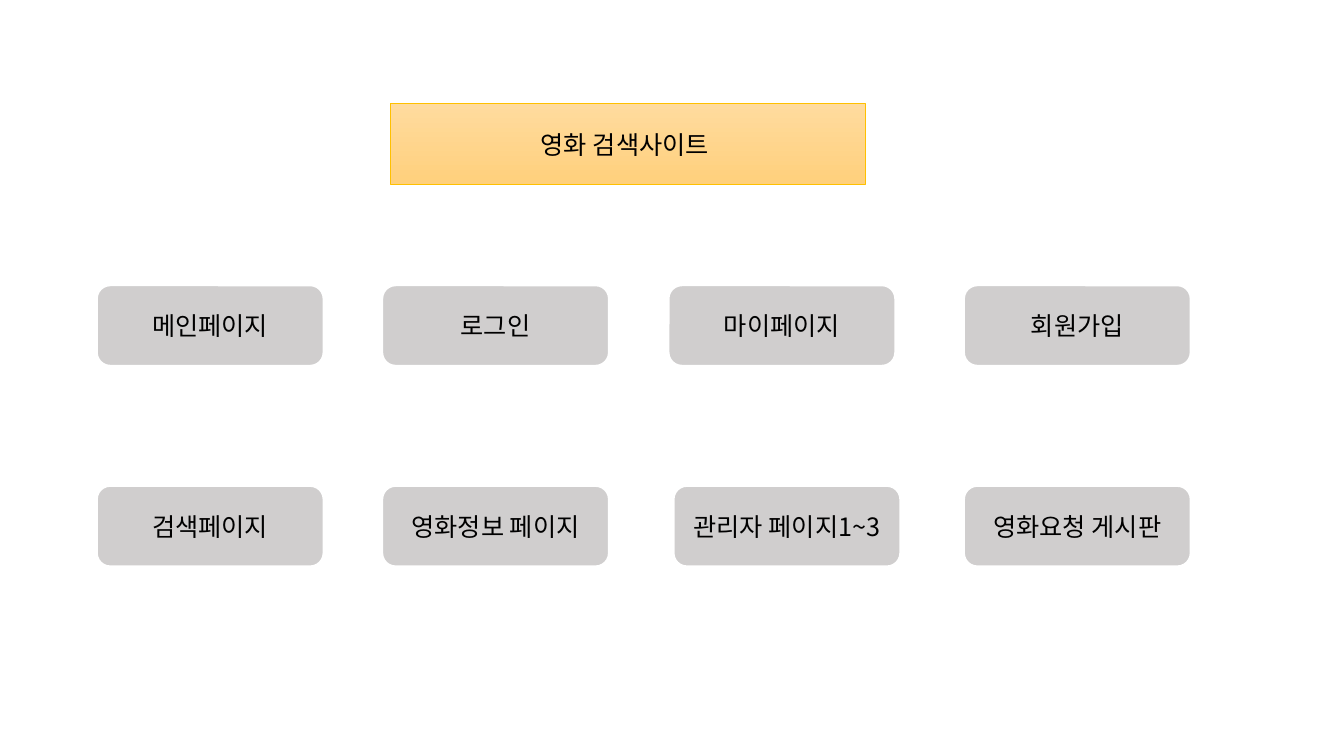
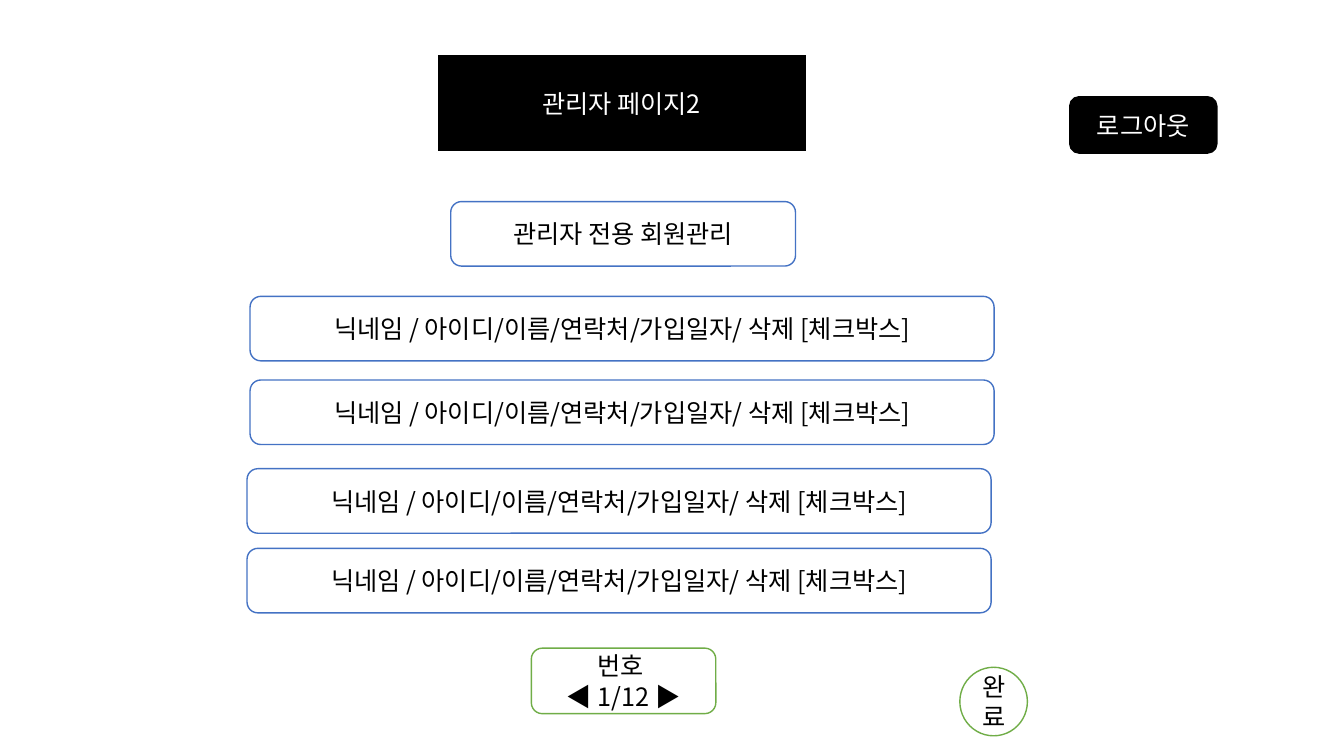
from lxml.etree import SubElement
from pptx import Presentation
from pptx.dml.color import RGBColor
from pptx.enum.shapes import MSO_SHAPE
from pptx.enum.text import MSO_ANCHOR, PP_ALIGN
from pptx.oxml.ns import qn
from pptx.util import Emu, Pt

PX = 9144
FONT = "Noto Sans CJK KR"
BLACK = RGBColor(0x00, 0x00, 0x00)
WHITE = RGBColor(0xFF, 0xFF, 0xFF)
GREY = RGBColor(0xD0, 0xCE, 0xCE)
BLUE = RGBColor(0x44, 0x72, 0xC4)
GREEN = RGBColor(0x70, 0xAD, 0x47)
GOLD = RGBColor(0xFF, 0xC0, 0x00)
GOLD_TOP = RGBColor(0xFF, 0xDB, 0x9E)
GOLD_BOTTOM = RGBColor(0xFF, 0xD0, 0x7C)

STYLES = {
    "site": ([GOLD_TOP, GOLD_BOTTOM], GOLD, 0.5, BLACK),
    "page": ([GREY], WHITE, 1.5, BLACK),
    "header": ([BLACK], WHITE, 1.5, WHITE),
    "button": ([BLACK], BLACK, 1, WHITE),
    "member": ([WHITE], BLUE, 1, BLACK),
    "control": ([WHITE], GREEN, 1, BLACK),
}

PAGE_SIZE = (225, 80)
PAGE_ROWS = [
    (283, [(96, "메인페이지"), (379, "로그인"), (663, "마이페이지"), (956, "회원가입")]),
    (482, [(96, "검색페이지"), (379, "영화정보 페이지"),
           (668, "관리자 페이지1~3"), (956, "영화요청 게시판")]),
]

MEMBER_TEXT = "닉네임 / 아이디/이름/연락처/가입일자/ 삭제 [체크박스]"
MEMBER_SIZE = (738, 64)
MEMBER_PLACES = [(248, 294), (248, 377), (245, 465), (245, 544)]
ROUND, OVAL = MSO_SHAPE.ROUNDED_RECTANGLE, MSO_SHAPE.OVAL

SITE_MAP = {
    "title": ("영화 검색사이트 ", (387, 103, 471, 80), "site", "rect"),
    "boxes": [(text, (x, y, *PAGE_SIZE), "page", ROUND)
              for y, pages in PAGE_ROWS for x, text in pages],
}
ADMIN_PAGE = {
    "title": ("관리자 페이지2", (433, 54, 367, 97), "header", "roundRect"),
    "boxes": [
        ("관리자 전용 회원관리", (447, 200, 342, 64), "member", ROUND),
        *[(MEMBER_TEXT, (*place, *MEMBER_SIZE), "member", ROUND)
          for place in MEMBER_PLACES],
        ("번호 \n◀ 1/12 ▶", (527, 643, 183, 65), "control", ROUND),
        ("완료", (952, 662, 67, 68), "control", OVAL),
        ("로그아웃", (1061, 96, 146, 56), "button", ROUND),
    ],
}


def emu(box):
    return [Emu(v * PX) for v in box]


def apply_style(s, text, style):
    colors, line, width, text_color = STYLES[style]
    if len(colors) > 1:
        s.fill.gradient()
        s.fill.gradient_angle = 270
        for stop, color in zip(s.fill.gradient_stops, colors):
            stop.color.rgb = color
    else:
        s.fill.solid()
        s.fill.fore_color.rgb = colors[0]
    s.line.color.rgb = line
    s.line.width = Pt(width)
    tf = s.text_frame
    tf.text = text
    tf.word_wrap = True
    tf.vertical_anchor = MSO_ANCHOR.MIDDLE
    for p in tf.paragraphs:
        p.alignment = PP_ALIGN.CENTER
        for r in p.runs:
            r.font.size = Pt(18)
            r.font.name = FONT
            r.font.color.rgb = text_color
            SubElement(r.font._element, qn("a:ea"), typeface=FONT)


def add_title(slide, text, box, style, preset):
    s = slide.shapes.title
    s.left, s.top, s.width, s.height = emu(box)
    geom = SubElement(s._element.spPr, qn("a:prstGeom"), prst=preset)
    SubElement(geom, qn("a:avLst"))
    apply_style(s, text, style)


def add_box(slide, text, box, style, kind):
    s = slide.shapes.add_shape(kind, *emu(box))
    s.shadow.inherit = False
    apply_style(s, text, style)


def main():
    prs = Presentation()
    prs.slide_width, prs.slide_height = emu((1333, 750))
    for content in (SITE_MAP, ADMIN_PAGE):
        slide = prs.slides.add_slide(prs.slide_layouts[5])
        add_title(slide, *content["title"])
        for box in content["boxes"]:
            add_box(slide, *box)
    prs.save("out.pptx")


if __name__ == "__main__":
    main()
